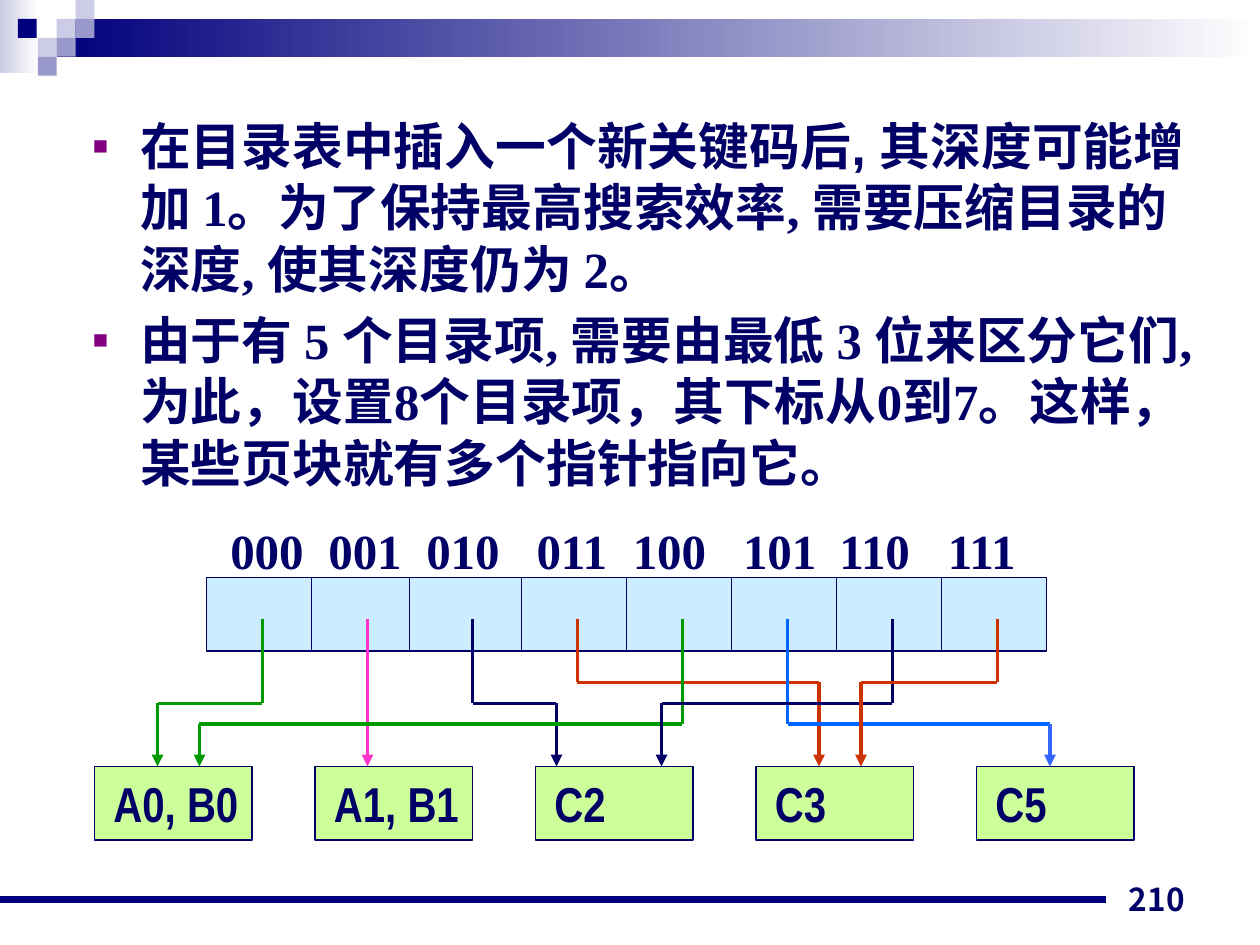
"""Slide on compressing an extendible hashing directory, with a pointer diagram."""
from lxml.etree import SubElement
from pptx import Presentation
from pptx.dml.color import RGBColor
from pptx.enum.shapes import MSO_CONNECTOR, MSO_SHAPE
from pptx.enum.text import MSO_ANCHOR, PP_ALIGN
from pptx.oxml.ns import qn
from pptx.util import Pt

WHITE = RGBColor(0xFF, 0xFF, 0xFF)
NAVY = RGBColor(0x00, 0x00, 0x7D)
LILAC = RGBColor(0xCC, 0xCC, 0xE6)
VIOLET = RGBColor(0x99, 0x99, 0xCC)
INK = RGBColor(0x00, 0x00, 0x66)
PURPLE = RGBColor(0x80, 0x00, 0x80)
LIME = RGBColor(0xCC, 0xFF, 0x99)
SKY = RGBColor(0xCC, 0xEC, 0xFF)
GREEN = RGBColor(0x00, 0x99, 0x00)
PINK = RGBColor(0xFF, 0x33, 0xCC)
RUST = RGBColor(0xCC, 0x33, 0x00)
BLUE = RGBColor(0x00, 0x66, 0xFF)
SOFT_BLUE = RGBColor(0x33, 0x66, 0xFF)


def add_run(p, text, font, size):
    r = p.add_run()
    r.text = text
    r.font.name, r.font.size, r.font.bold = font, Pt(size), True
    r.font.color.rgb = INK
    SubElement(r.font._element, qn("a:ea")).set("typeface", "Noto Sans CJK JP")


def add_line(x1, y1, x2, y2, color, width, arrow=False):
    c = s.shapes.add_connector(MSO_CONNECTOR.STRAIGHT, Pt(x1), Pt(y1), Pt(x2), Pt(y2))
    c.line.color.rgb = color
    c.line.width = Pt(width)
    if arrow:
        SubElement(c.line._get_or_add_ln(), qn("a:tailEnd")).set("type", "triangle")
    SubElement(c._element.spPr, qn("a:effectLst"))


prs = Presentation()
prs.slide_width, prs.slide_height = Pt(720), Pt(540)
s = prs.slides.add_slide(prs.slide_layouts[6])

header = [
    (0, 0, 22.3, 42, (LILAC, WHITE)),
    (32.4, 10.8, 687.6, 21.6, (NAVY, WHITE)),
    (32.4, 10.8, 10.8, 10.8, LILAC),
    (43.2, 0, 10.8, 10.8, LILAC),
    (43.2, 10.8, 10.8, 10.8, VIOLET),
    (21.6, 21.6, 10.8, 10.8, LILAC),
    (10.2, 10.8, 10.8, 10.8, NAVY),
    (32.4, 21.6, 10.8, 10.8, VIOLET),
    (21.6, 32.4, 10.8, 10.8, VIOLET),
]
for x, y, w, h, fill in header:
    sp = s.shapes.add_shape(MSO_SHAPE.RECTANGLE, Pt(x), Pt(y), Pt(w), Pt(h))
    sp.shadow.inherit = False
    sp.line.fill.background()
    if isinstance(fill, RGBColor):
        sp.fill.solid()
        sp.fill.fore_color.rgb = fill
    else:
        sp.fill.gradient()
        sp.fill.gradient_angle = 0
        for stop, color in zip(sp.fill.gradient_stops, fill):
            stop.color.rgb = color

add_line(0, 514, 632, 514, NAVY, 4.5)
tf = s.shapes.add_textbox(Pt(516), Pt(492), Pt(168), Pt(36)).text_frame
tf.word_wrap = True
tf.vertical_anchor = MSO_ANCHOR.BOTTOM
p = tf.paragraphs[0]
p.alignment = PP_ALIGN.RIGHT
add_run(p, "210", "Noto Sans CJK JP", 18)

points = [
    [("在目录表中插入一个新关键码后, 其深度可能增加 ", "Arial"),
     ("1。为了保持最高搜索效率, 需要压缩目录的深度, 使其深度仍为 2。", "Times New Roman")],
    [("由于有 5 个目录项, 需要由最低 3 位来区分它们, 为此，设置8个目录项，"
      "其下标从0到7。这样，某些页块就有多个指针指向它。", "Times New Roman")],
]
tf = s.shapes.add_textbox(Pt(46), Pt(62), Pt(643), Pt(324)).text_frame
tf.word_wrap = True
for i, runs in enumerate(points):
    p = tf.add_paragraph() if i else tf.paragraphs[0]
    p.line_spacing = Pt(35)
    p.space_before = Pt(5.8 if i else 0)
    pPr = p._p.get_or_add_pPr()
    pPr.set("marL", str(Pt(27)))
    pPr.set("indent", str(-Pt(27)))
    SubElement(SubElement(pPr, qn("a:buClr")), qn("a:srgbClr")).set("val", str(PURPLE))
    SubElement(pPr, qn("a:buSzPct")).set("val", "50000")
    SubElement(pPr, qn("a:buFont")).set("typeface", "Arial")
    SubElement(pPr, qn("a:buChar")).set("char", "■")
    for text, font in runs:
        add_run(p, text, font, 29)

blocks = [(118, 330, 480, SKY, "")]
for i, label in enumerate(["A0, B0", "A1, B1", "C2", "C3", "C5"]):
    blocks.append((54 + 126 * i, 438, 90, LIME, label))
for x, y, w, fill, label in blocks:
    sp = s.shapes.add_shape(MSO_SHAPE.RECTANGLE, Pt(x), Pt(y), Pt(w), Pt(42))
    sp.shadow.inherit = False
    sp.fill.solid()
    sp.fill.fore_color.rgb = fill
    sp.line.color.rgb = INK
    sp.line.width = Pt(0.75)
    if label:
        tf = sp.text_frame
        tf.word_wrap = False
        tf.margin_left, tf.margin_right = Pt(10.8), Pt(0)
        tf.vertical_anchor = MSO_ANCHOR.MIDDLE
        p = tf.paragraphs[0]
        p.alignment = PP_ALIGN.LEFT
        add_run(p, label, "Arial Narrow", 28)

for x in (178, 234, 298, 358, 418, 478, 538):
    add_line(x, 330, x, 372, INK, 0.75)

tf = s.shapes.add_textbox(Pt(124.5), Pt(294), Pt(475), Pt(41)).text_frame
tf.word_wrap = True
p = tf.paragraphs[0]
tabs = SubElement(p._p.get_or_add_pPr(), qn("a:tabLst"))
for stop in (56, 112, 175, 230, 293, 348, 410):
    tab = SubElement(tabs, qn("a:tab"))
    tab.set("pos", str(Pt(stop)))
    tab.set("algn", "l")
add_run(p, "\t".join(f"{i:03b}" for i in range(8)), "Times New Roman", 28)

pointers = [
    (90, 402, GREEN, GREEN),
    (210, 402, PINK, PINK),
    (318, 402, INK, INK),
    (468, 390, RUST, RUST),
    (114, 413.5, GREEN, GREEN),
    (600, 413.5, BLUE, SOFT_BLUE),
    (378, 402, INK, INK),
    (492, 390, RUST, RUST),
]
for i, (end, bend, color, tip) in enumerate(pointers):
    start = 150 + 60 * i
    if start == end:
        add_line(start, 354, end, 438, color, 2.25, True)
    else:
        add_line(start, 354, start, bend, color, 2.25)
        add_line(start, bend, end, bend, color, 2.25)
        add_line(end, bend, end, 438, tip, 2.25, True)

prs.save("out.pptx")
